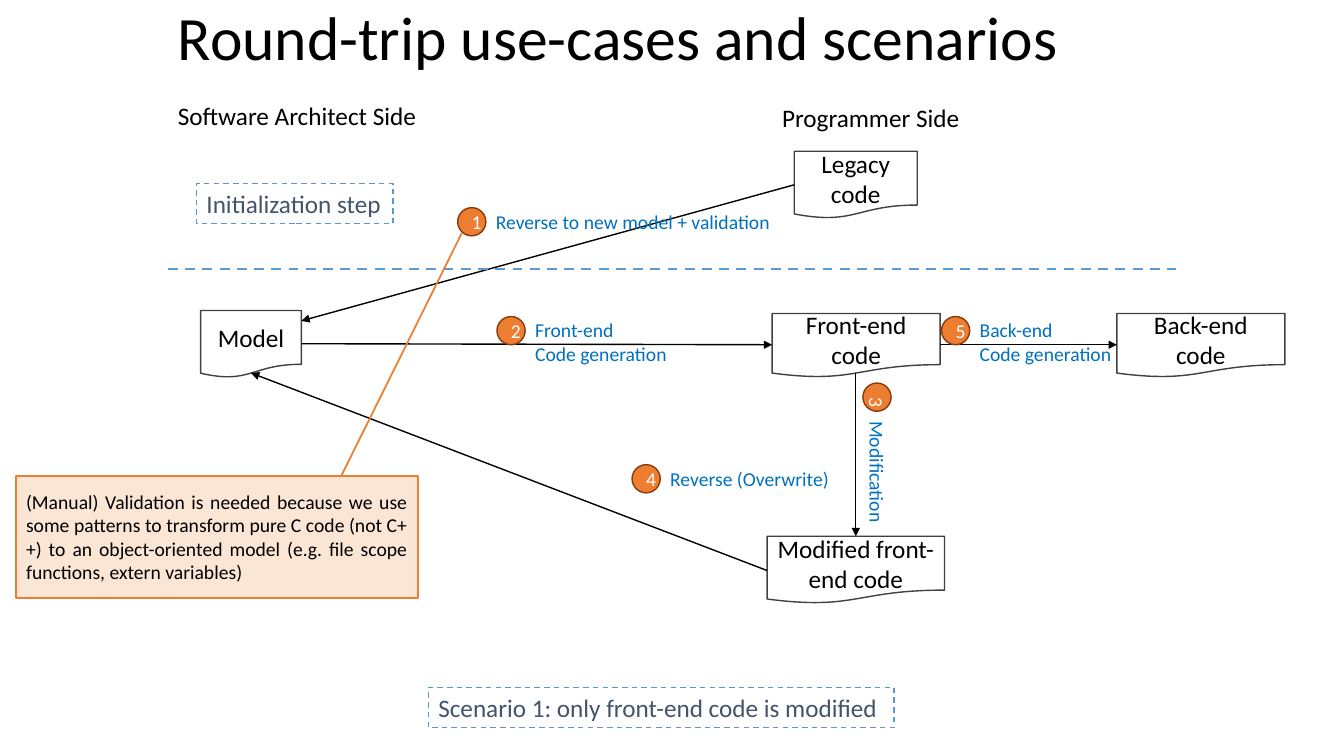
from dataclasses import dataclass

from lxml.etree import SubElement
from pptx import Presentation
from pptx.dml.color import RGBColor
from pptx.enum.dml import MSO_LINE
from pptx.enum.shapes import MSO_CONNECTOR, MSO_SHAPE
from pptx.enum.text import MSO_ANCHOR as Anchor, MSO_AUTO_SIZE as AutoSize, PP_ALIGN as Align
from pptx.oxml.ns import qn
from pptx.util import Inches, Pt

COLUMNS, ROWS = 80, 45


@dataclass(frozen=True)
class Theme:
    font: str = "Calibri"
    title_size: int = 44
    body_size: int = 18
    note_size: int = 14
    ink: str = "000000"
    outline: str = "404040"
    badge_text: str = "FFFFFF"
    accent: str = "ED7D31"
    badge_line: str = "843C0B"
    label: str = "0070C0"
    caption: str = "44546A"
    caption_line: str = "5698D3"
    divider: str = "5B9BD5"


class Diagram:
    """Draws the elements of a flow diagram on a grid of columns and rows."""

    def __init__(self, presentation, theme):
        self.theme = theme
        self.slide = presentation.slides.add_slide(presentation.slide_layouts[6])
        self.column = presentation.slide_width / COLUMNS
        self.row = presentation.slide_height / ROWS

    def place(self, left, top, width, height):
        return (round(left * self.column), round(top * self.row),
                round(width * self.column), round(height * self.row))

    def set_text(self, shape, text, size, color, align=Align.LEFT, anchor=Anchor.TOP, wrap=False):
        frame = shape.text_frame
        frame.text = text
        frame.word_wrap = wrap
        frame.vertical_anchor = anchor
        frame.auto_size = AutoSize.NONE if wrap else AutoSize.SHAPE_TO_FIT_TEXT
        for paragraph in frame.paragraphs:
            paragraph.alignment = align
            paragraph.font.name = self.theme.font
            paragraph.font.size = Pt(size)
            paragraph.font.color.rgb = RGBColor.from_string(color)

    def shape(self, kind, box, line, weight=1, fill=None):
        shape = self.slide.shapes.add_shape(kind, *self.place(*box))
        shape.shadow.inherit = False
        shape.line.color.rgb = RGBColor.from_string(line)
        shape.line.width = Pt(weight)
        if fill:
            shape.fill.solid()
            shape.fill.fore_color.rgb = RGBColor.from_string(fill)
        else:
            shape.fill.background()
        return shape

    def text(self, text, box, size, color):
        shape = self.slide.shapes.add_textbox(*self.place(*box))
        self.set_text(shape, text, size, color)
        return shape

    def document(self, text, box):
        shape = self.shape(MSO_SHAPE.FLOWCHART_DOCUMENT, box, self.theme.outline)
        self.set_text(shape, text, self.theme.body_size, self.theme.ink,
                      Align.CENTER, Anchor.MIDDLE, True)

    def caption(self, text, box):
        shape = self.shape(MSO_SHAPE.RECTANGLE, box, self.theme.caption_line)
        shape.line.dash_style = MSO_LINE.DASH
        self.set_text(shape, text, self.theme.body_size, self.theme.caption)

    def line(self, start, end, color, weight=1):
        connector = self.slide.shapes.add_connector(
            MSO_CONNECTOR.STRAIGHT, *self.place(*start, *end))
        connector.line.color.rgb = RGBColor.from_string(color)
        connector.line.width = Pt(weight)
        SubElement(connector._element.spPr, qn("a:effectLst"))
        return connector

    def arrow(self, start, end):
        connector = self.line(start, end, self.theme.ink)
        line = connector._element.spPr.find(qn("a:ln"))
        SubElement(line, qn("a:tailEnd"), type="triangle")

    def divider(self, start, end):
        self.line(start, end, self.theme.divider, 1.75).line.dash_style = MSO_LINE.DASH

    def step(self, number, text, left, top, width, rotation=0):
        size, single = 1.68, 2.04
        badge = self.shape(MSO_SHAPE.OVAL, (left, top, size, size),
                           self.theme.badge_line, fill=self.theme.accent)
        badge.rotation = rotation
        self.set_text(badge, str(number), self.theme.note_size, self.theme.badge_text,
                      Align.CENTER, Anchor.MIDDLE, True)
        height = single + 1.38 * text.count("\n")
        along, across = (size + width) / 2, (height - single) / 2
        shift_x, shift_y = (-across, along) if rotation else (along, across)
        label_left = left + (size - width) / 2 + shift_x
        label_top = top + (size - height) / 2 + shift_y
        label = self.text(text, (label_left, label_top, width, height),
                          self.theme.note_size, self.theme.label)
        label.rotation = rotation

    def callout(self, text, box, pointer):
        shape = self.shape(MSO_SHAPE.LINE_CALLOUT_1, box, self.theme.accent, 1.25,
                           self.theme.accent)
        for index, value in enumerate(pointer):
            shape.adjustments[index] = value
        color = shape._element.spPr.find(qn("a:solidFill"))[0]
        SubElement(color, qn("a:alpha"), val="20000")
        self.set_text(shape, text, self.theme.note_size, self.theme.ink,
                      Align.JUSTIFY, Anchor.MIDDLE, True)


def main():
    presentation = Presentation()
    presentation.slide_width, presentation.slide_height = Inches(13.33), Inches(7.5)
    theme = Theme()
    diagram = Diagram(presentation, theme)

    for text, box in (
        ("Legacy code", (47.28, 9, 7.32, 4)),
        ("Model", (11.94, 18.48, 6, 4)),
        ("Front-end code", (45.96, 18.66, 10, 3.8)),
        ("Back-end code", (66.48, 18.66, 10, 3.8)),
        ("Modified front-end code", (45.66, 31.92, 10.56, 4)),
    ):
        diagram.document(text, box)

    for start, end in (
        ((47.28, 11), (17.94, 19.1)),
        ((17.94, 20.46), (45.96, 20.52)),
        ((45.66, 33.96), (14.94, 22.2)),
        ((50.94, 22.2), (50.94, 31.92)),
        ((55.95, 20.52), (66.48, 20.52)),
    ):
        diagram.arrow(start, end)

    diagram.step(1, "Reverse to new model + validation", 27.24, 12.36, 17.7)
    diagram.step(2, "Front-end\nCode generation", 29.58, 18.84, 9.12)
    diagram.step(3, "Modification", 51.36, 22.8, 7.5, rotation=90)
    diagram.step(4, "Reverse (Overwrite)", 37.62, 27.66, 10.74)
    diagram.step(5, "Back-end\nCode generation", 56.04, 18.84, 9.12)

    diagram.divider((10, 16), (70, 16))
    diagram.caption("Initialization step", (11.7, 10.92, 11.7, 2.4))
    diagram.caption("Scenario 1: only front-end code is modified", (25.5, 40.92, 27.72, 2.4))
    diagram.callout(
        "(Manual) Validation is needed because we use some patterns to transform pure C code "
        "(not C++) to an object-oriented model (e.g. file scope functions, extern variables)",
        (0.96, 28.32, 23.9, 7.26), (0, 0.81, -1.99, 1.11))

    diagram.text("Software Architect Side", (10, 5.7, 15.48, 2.4), theme.body_size, theme.ink)
    diagram.text("Programmer Side", (45.96, 5.82, 11.88, 2.4), theme.body_size, theme.ink)
    diagram.text("Round-trip use-cases and scenarios", (10, -0.36, 54.18, 5.04),
                 theme.title_size, theme.ink)
    presentation.save("out.pptx")


if __name__ == "__main__":
    main()
